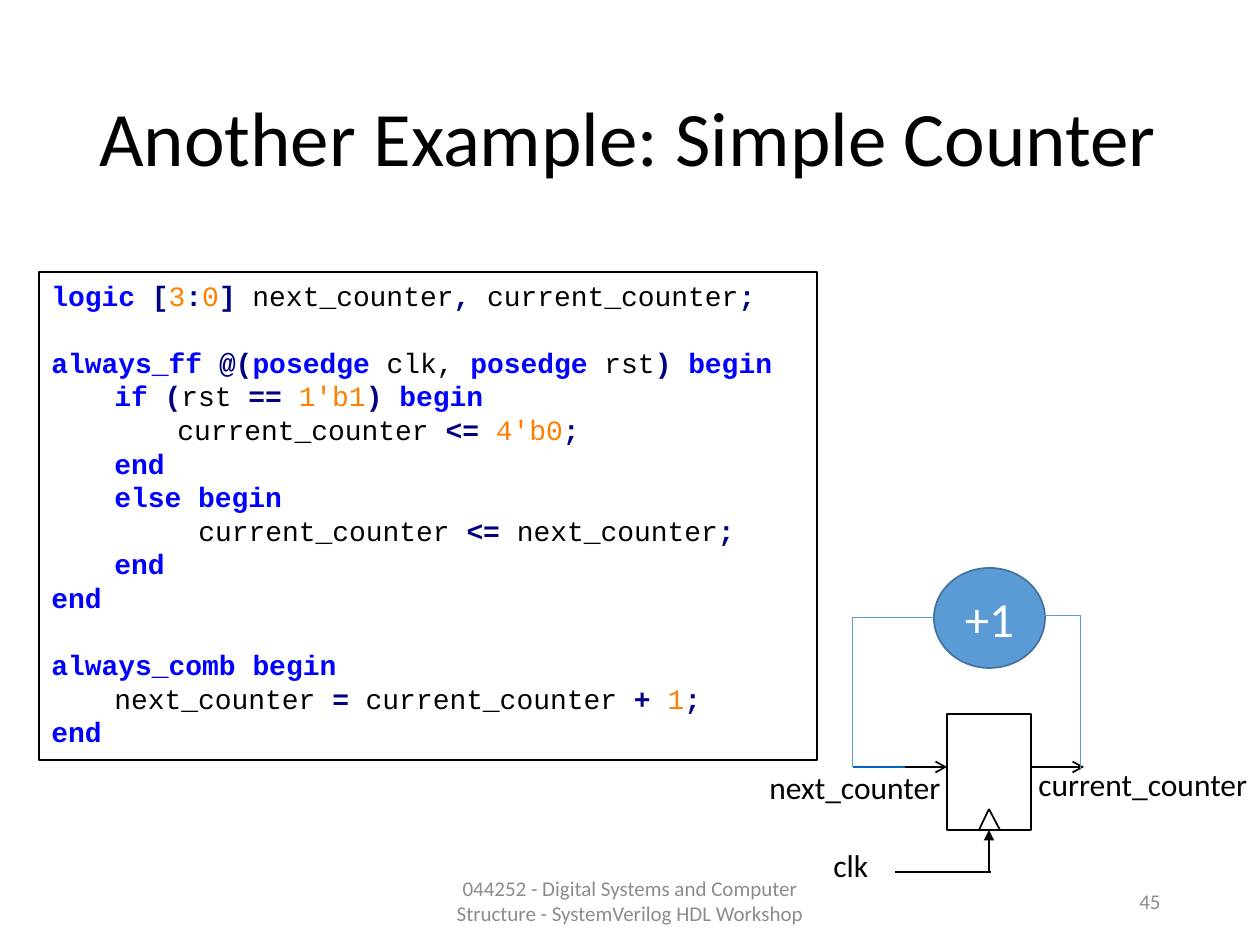
import pptx
import pptx.util
import pptx.dml.color
import pptx.enum.shapes
import pptx.enum.text
import pptx.oxml.ns
from lxml import etree

PX = 914400 / 126
COLORS = {
    "text": "000000", "muted": "8C8C8C", "paper": "FFFFFF",
    "keyword": "0000FF", "operator": "000080", "number": "FF8000",
    "adder": "5B9BD5", "adder_edge": "43739E", "input": "0563C1",
}
KEYWORDS = {"logic", "always_ff", "always_comb", "posedge", "if", "else", "begin", "end"}
OPERATORS = {"[", "]", ":", ",", ";", "@(", "(", ")", "==", "<=", "=", "+"}

CODE = [
    (0, 0, "logic| |[|3|:|0|]| next_counter|,| current_counter|;"),
    (0, 1, "always_ff| |@(|posedge| clk,| posedge| rst|) |begin"),
    (63, 0, "if| |(|rst |==| |1'b1|)| |begin"),
    (126, 0, "current_counter |<=| |4'b0|;"),
    (63, 0, "end"),
    (63, 0, "else| |begin"),
    (147, 0, "current_counter |<=| next_counter|;"),
    (63, 0, "end"),
    (0, 0, "end"),
    (0, 1, "always_comb| |begin"),
    (63, 0, "next_counter |=| current_counter |+| |1|;"),
    (0, 0, "end"),
]
CODE_BOX = (39, 272, 778, 488)
CODE_SIZE, CODE_PITCH = 16, 19.2

LABELS = [
    ("Another Example: Simple Counter", (87, 50, 1086, 183),
     dict(size=44, anchor="MIDDLE", spacing=0.9)),
    ("044252 - Digital Systems and Computer Structure - SystemVerilog HDL Workshop",
     (417, 876, 426, 50), dict(size=12, color="muted", align="CENTER", anchor="MIDDLE")),
    ("45", (890, 876, 283, 50),
     dict(size=12, color="muted", align="RIGHT", anchor="MIDDLE")),
    ("current_counter", (1026, 759, 241, 50), dict(wrap=False)),
    ("clk", (821, 840, 64, 47), dict(wrap=False)),
    ("next_counter", (757, 762, 198, 50), dict(wrap=False)),
]
REGISTER = (947, 714, 84, 116)
ADDER = (934, 568, 111, 100)

WIRES = [
    ((979, 830), (989, 809), {}),
    ((1000, 830), (989, 809), {}),
    ((895, 767), (947, 767), dict(head="arrow")),
    ((1031, 767), (1084, 767), dict(head="arrow")),
    ((895, 872), (991, 872), {}),
    ((853, 767), (905, 767), dict(color="input")),
    ((1042, 615), (1081, 770),
     dict(color="adder", width=0.5, bend="bentConnector2")),
    ((934, 617), (853, 767),
     dict(color="adder", width=0.5, bend="bentConnector4", adjust=(17700, 400))),
]

deck = pptx.Presentation()
deck.slide_width, deck.slide_height = pptx.util.Inches(10), pptx.util.Inches(7.5)
slide = deck.slides.add_slide(deck.slide_layouts[6])


def emu(lengths):
    return [round(length * PX) for length in lengths]


def rgb(name):
    return pptx.dml.color.RGBColor.from_string(COLORS[name])


def add_run(paragraph, text, size, color, font="Calibri", bold=False):
    run = paragraph.add_run()
    run.text = text
    run.font.size, run.font.name, run.font.bold = pptx.util.Pt(size), font, bold
    run.font.color.rgb = rgb(color)


def write(shape, text, size=18, color="text", align="LEFT", anchor="TOP",
          wrap=True, spacing=None):
    frame = shape.text_frame
    frame.word_wrap = wrap
    frame.vertical_anchor = getattr(pptx.enum.text.MSO_ANCHOR, anchor)
    paragraph = frame.paragraphs[0]
    paragraph.alignment = getattr(pptx.enum.text.PP_ALIGN, align)
    paragraph.line_spacing = spacing
    add_run(paragraph, text, size, color)


def add_box(kind, box, fill, line, width):
    shape = slide.shapes.add_shape(getattr(pptx.enum.shapes.MSO_SHAPE, kind), *emu(box))
    shape.shadow.inherit = False
    if fill:
        shape.fill.solid()
        shape.fill.fore_color.rgb = rgb(fill)
    else:
        shape.fill.background()
    shape.line.color.rgb = rgb(line)
    shape.line.width = pptx.util.Pt(width)
    return shape


def add_wire(start, end, color="text", width=1, head=None, bend=None, adjust=()):
    qn = pptx.oxml.ns.qn
    wire = slide.shapes.add_connector(
        pptx.enum.shapes.MSO_CONNECTOR.STRAIGHT, *emu(start + end))
    wire.line.color.rgb = rgb(color)
    wire.line.width = pptx.util.Pt(width)
    properties = wire._element.spPr
    etree.SubElement(properties, qn("a:effectLst"))
    if head:
        etree.SubElement(properties.find(qn("a:ln")), qn("a:tailEnd"), type=head)
    if bend:
        geometry = properties.find(qn("a:prstGeom"))
        geometry.set("prst", bend)
        for number, value in enumerate(adjust, 1):
            etree.SubElement(geometry.find(qn("a:avLst")), qn("a:gd"),
                             name=f"adj{number}", fmla=f"val {value}")
    return wire


def token_style(token):
    word = token.strip()
    if word in KEYWORDS:
        return "keyword", True
    if word in OPERATORS:
        return "operator", True
    return ("number" if word[:1].isdigit() else "text"), False


def add_code():
    frame = add_box("RECTANGLE", CODE_BOX, None, "text", 0.75).text_frame
    frame.word_wrap = True
    frame.vertical_anchor = pptx.enum.text.MSO_ANCHOR.TOP
    for row, (indent, gap, line) in enumerate(CODE):
        paragraph = frame.add_paragraph() if row else frame.paragraphs[0]
        paragraph.alignment = pptx.enum.text.PP_ALIGN.LEFT
        paragraph.line_spacing = pptx.util.Pt(CODE_PITCH)
        paragraph.space_before = pptx.util.Pt(gap * CODE_PITCH)
        paragraph._p.get_or_add_pPr().set("marL", str(round(indent * PX)))
        for token in line.split("|"):
            color, bold = token_style(token)
            add_run(paragraph, token, CODE_SIZE, color, "Courier New", bold)


CODE_BOX = CODE_BOX[:3] + (CODE_BOX[3],)
add_code()
register = add_box("RECTANGLE", REGISTER, "paper", "text", 1)
adder = add_box("OVAL", ADDER, "adder", "adder_edge", 1)
write(adder, "+1", size=28, color="paper", align="CENTER", anchor="MIDDLE")
for text, box, style in LABELS:
    write(slide.shapes.add_textbox(*emu(box)), text, **style)
for start, end, style in WIRES:
    add_wire(start, end, **style)
clock = add_wire((989, 872), (989, 830), head="triangle")
clock.end_connect(register, 2)

deck.save("out.pptx")
